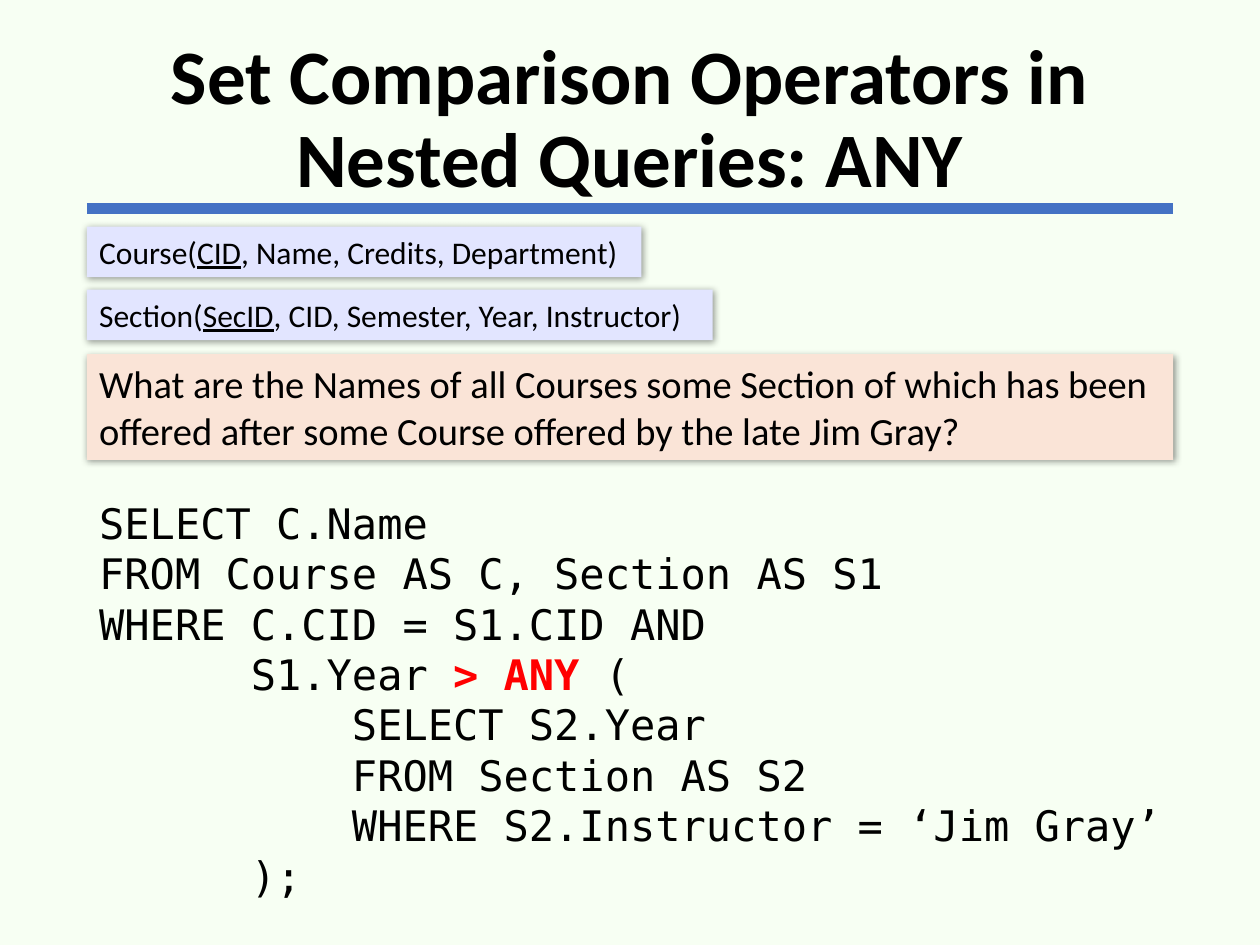
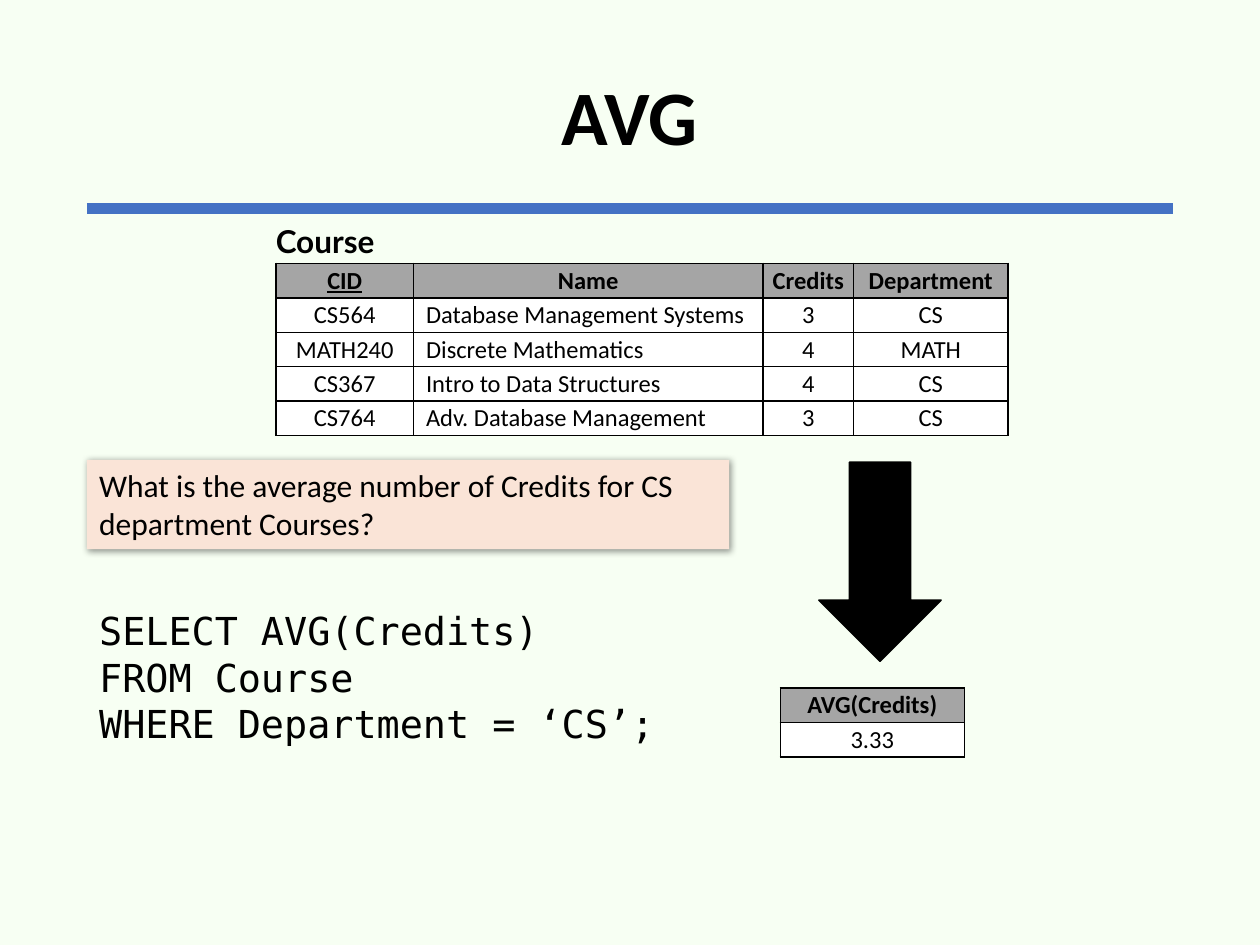
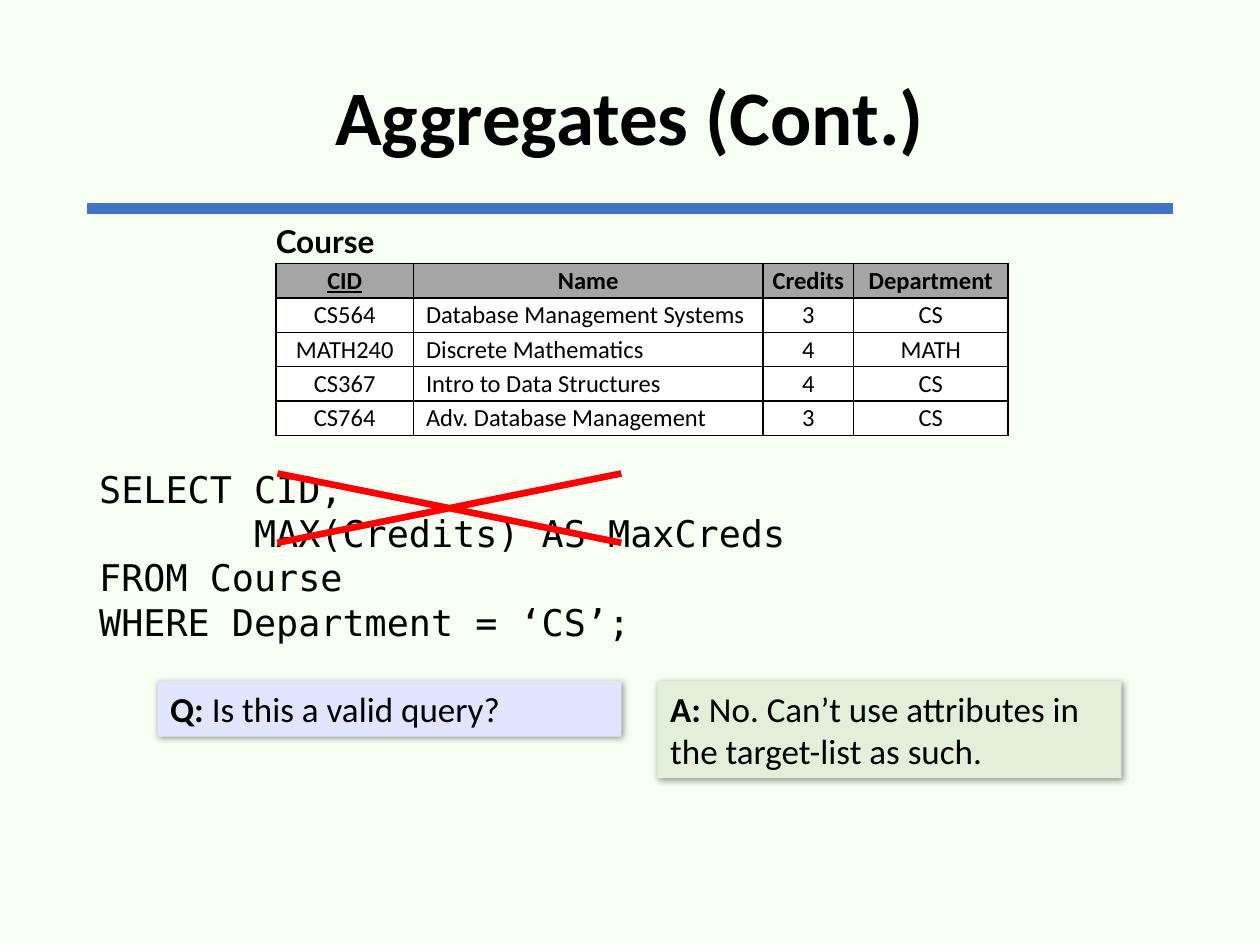
from lxml import etree
from pptx import Presentation
from pptx.dml.color import RGBColor
from pptx.enum import shapes, text
from pptx.oxml import ns, parse_xml
from pptx.util import Cm, Pt

# Shared look
BLACK, WHITE, RED = "000000", "FFFFFF", "FF0000"
BLUE, GRAY, PAPER = "4472C4", "A5A5A5", "F7FFF3"
SCHEMA, QUESTION, ANSWER = "E2E5FF", "FAE4D7", "E2F0D9"
BODY, CODE, LABEL = "Calibri", "DejaVu Sans Mono", "Lato"
LEFT, WIDTH, RULE_TOP = 1.75, 21.9, 4.2
ROW_HEIGHT, CELL_MARGIN, NAME_INDENT = 0.69, 0.05, 0.25
BOLD, UNDERLINE = {"bold": True}, {"underline": True}
NAMESPACE = ns.nsdecls("a")
SHADOW = (f'<a:effectLst {NAMESPACE}><a:outerShdw blurRad="50800" dist="12700" dir="2700000" '
          'algn="tl" rotWithShape="0"><a:srgbClr val="000000"><a:alpha val="40000"/>'
          '</a:srgbClr></a:outerShdw></a:effectLst>')


def rgb(value):
    return RGBColor.from_string(value)


def write(frame, paragraphs, align=text.PP_ALIGN.LEFT, **base):
    """Fill a frame; each paragraph is a list of (text, format changes) or a plain string."""
    for index, runs in enumerate(paragraphs):
        paragraph = frame.add_paragraph() if index else frame.paragraphs[0]
        paragraph.alignment = align
        for words, changes in [(runs, {})] if isinstance(runs, str) else runs:
            run = paragraph.add_run()
            run.text = words
            values = {"color": BLACK, "bold": False, **base, **changes}
            run.font.color.rgb = rgb(values.pop("color"))
            for key, value in values.items():
                setattr(run.font, key, value)


presentation = Presentation()
presentation.slide_width, presentation.slide_height = Cm(25.4), Cm(19.05)
background = presentation.slide_master.background.fill
background.solid()
background.fore_color.rgb = rgb(PAPER)

# Titles and the rule below them
slides = []
for title in ["Set Comparison Operators in Nested Queries: ANY", "AVG", "Aggregates (Cont.)"]:
    slide = presentation.slides.add_slide(presentation.slide_layouts[5])
    slides.append(slide)
    shape = slide.shapes.title
    shape.left, shape.top, shape.width, shape.height = Cm(LEFT), Cm(0.6), Cm(WIDTH), Cm(3.68)
    frame = shape.text_frame
    frame.auto_size = text.MSO_AUTO_SIZE.NONE
    frame.vertical_anchor = text.MSO_ANCHOR.MIDDLE
    write(frame, [title], text.PP_ALIGN.CENTER, name=BODY, size=Pt(44), bold=True)
    frame.paragraphs[0].line_spacing = 0.9
    rule = slide.shapes.add_connector(shapes.MSO_CONNECTOR.STRAIGHT, Cm(LEFT), Cm(RULE_TOP),
                                      Cm(LEFT + WIDTH), Cm(RULE_TOP))
    rule.line.color.rgb = rgb(BLUE)
    rule.line.width = Pt(6)
    etree.SubElement(rule._element.spPr, ns.qn("a:effectLst"))
any_slide, avg_slide, aggregates_slide = slides

# Filled boxes: schemas, questions and the answer
boxes = [
    (any_slide, LEFT, 7.14, WIDTH, 2.13, QUESTION, 22,
     ["What are the Names of all Courses some Section of which has been "
      "offered after some Course offered by the late Jim Gray?"]),
    (any_slide, LEFT, 4.57, 11.18, 1.02, SCHEMA, 18,
     [[("Course(", {}), ("CID", UNDERLINE), (", Name, Credits, Department)", {})]]),
    (any_slide, LEFT, 5.84, 12.62, 1.02, SCHEMA, 18,
     [[("Section(", {}), ("SecID", UNDERLINE), (", CID, Semester, Year, Instructor)", {})]]),
    (avg_slide, LEFT, 9.27, 12.95, 1.8, QUESTION, 18,
     ["What is the average number of Credits for CS department Courses?"]),
    (aggregates_slide, 3.18, 13.73, 9.35, 1.12, SCHEMA, 20,
     [[("Q: ", BOLD), ("Is this a valid query?", {})]]),
    (aggregates_slide, 13.26, 13.73, 9.35, 1.96, ANSWER, 20,
     [[("A: ", BOLD), ("No. Can’t use attributes in the target-list as such.", {})]]),
]
for slide, left, top, width, height, fill, size, paragraphs in boxes:
    box = slide.shapes.add_shape(shapes.MSO_SHAPE.RECTANGLE, Cm(left), Cm(top),
                                 Cm(width), Cm(height))
    box.fill.solid()
    box.fill.fore_color.rgb = rgb(fill)
    box.line.fill.background()
    box._element.spPr.append(parse_xml(SHADOW))
    frame = box.text_frame
    frame.word_wrap = True
    frame.vertical_anchor = text.MSO_ANCHOR.TOP
    frame.auto_size = text.MSO_AUTO_SIZE.SHAPE_TO_FIT_TEXT
    write(frame, paragraphs, name=BODY, size=Pt(size))

# Queries
queries = [
    (any_slide, 9.9, 22.2, 8.46, 24, [
        "SELECT C.Name",
        "FROM Course AS C, Section AS S1",
        "WHERE C.CID = S1.CID AND",
        [("      S1.Year ", {}), ("> ANY ", {"color": RED, "bold": True}), ("(", {})],
        "          SELECT S2.Year",
        "          FROM Section AS S2",
        "          WHERE S2.Instructor = ‘Jim Gray’",
        "      );"]),
    (avg_slide, 12.12, 15.24, 3.5, 22, [
        "SELECT AVG(Credits)",
        "FROM Course",
        "WHERE Department = ‘CS’;"]),
    (aggregates_slide, 9.29, 15.24, 3.94, 21, [
        "SELECT CID,",
        "       MAX(Credits) AS MaxCreds",
        "FROM Course",
        "WHERE Department = ‘CS’;"]),
]
for slide, top, width, height, size, paragraphs in queries:
    query = slide.shapes.add_textbox(Cm(LEFT), Cm(top), Cm(width), Cm(height))
    query.text_frame.word_wrap = True
    write(query.text_frame, paragraphs, name=CODE, size=Pt(size))

# Tables, with the label above each Course table
course_rows = [
    ["CID", "Name", "Credits", "Department"],
    ["CS564", "Database Management Systems", "3", "CS"],
    ["MATH240", "Discrete Mathematics", "4", "MATH"],
    ["CS367", "Intro to Data Structures", "4", "CS"],
    ["CS764", "Adv. Database Management", "3", "CS"],
]
course = (5.56, 5.31, [2.78, 7.04, 1.83, 3.11], course_rows)
average = (15.73, 13.87, [3.71], [["AVG(Credits)"], ["3.33"]])
for slide, (left, top, widths, rows) in [(avg_slide, course), (avg_slide, average),
                                         (aggregates_slide, course)]:
    if rows is course_rows:
        label = slide.shapes.add_textbox(Cm(5.31), Cm(4.35), Cm(2.57), Cm(1.02))
        label.text_frame.word_wrap = False
        write(label.text_frame, ["Course"], name=LABEL, size=Pt(18), bold=True)
    table = slide.shapes.add_table(len(rows), len(widths), Cm(left), Cm(top), Cm(sum(widths)),
                                   Cm(ROW_HEIGHT * len(rows))).table
    table.first_row = table.horz_banding = False
    for column, width in zip(table.columns, widths):
        column.width = Cm(width)
    for row_index, row in enumerate(rows):
        table.rows[row_index].height = Cm(ROW_HEIGHT)
        for column_index, words in enumerate(row):
            cell = table.cell(row_index, column_index)
            header = row_index == 0
            name_cell = column_index == 1 and not header
            for side in ["left", "right", "top", "bottom"]:
                setattr(cell, f"margin_{side}", Cm(CELL_MARGIN))
            if name_cell:
                cell.margin_left = Cm(NAME_INDENT)
            for edge in "LRTB":
                cell._tc.get_or_add_tcPr().append(parse_xml(
                    f'<a:ln{edge} {NAMESPACE} w="12700"><a:solidFill>'
                    f'<a:srgbClr val="{BLACK}"/></a:solidFill></a:ln{edge}>'))
            cell.fill.solid()
            cell.fill.fore_color.rgb = rgb(GRAY if header else WHITE)
            align = text.PP_ALIGN.LEFT if name_cell else text.PP_ALIGN.CENTER
            write(cell.text_frame, [words], align, name=BODY, size=Pt(14),
                  bold=header, underline=words == "CID")

# Arrow to the result, and the cross over the invalid query
arrow = avg_slide.shapes.add_shape(shapes.MSO_SHAPE.DOWN_ARROW, Cm(16.51), Cm(9.32),
                                   Cm(2.46), Cm(4.01))
cross = aggregates_slide.shapes.add_shape(shapes.MSO_SHAPE.MATH_MULTIPLY, Cm(2.39), Cm(8.9),
                                          Cm(13.34), Cm(2.69))
cross.adjustments[0] = 0.05
for shape, fill in [(arrow, BLACK), (cross, RED)]:
    shape.shadow.inherit = False
    shape.fill.solid()
    shape.fill.fore_color.rgb = rgb(fill)
arrow.line.color.rgb = rgb(BLACK)
arrow.line.width = Pt(1)
cross.line.fill.background()

presentation.save("out.pptx")
